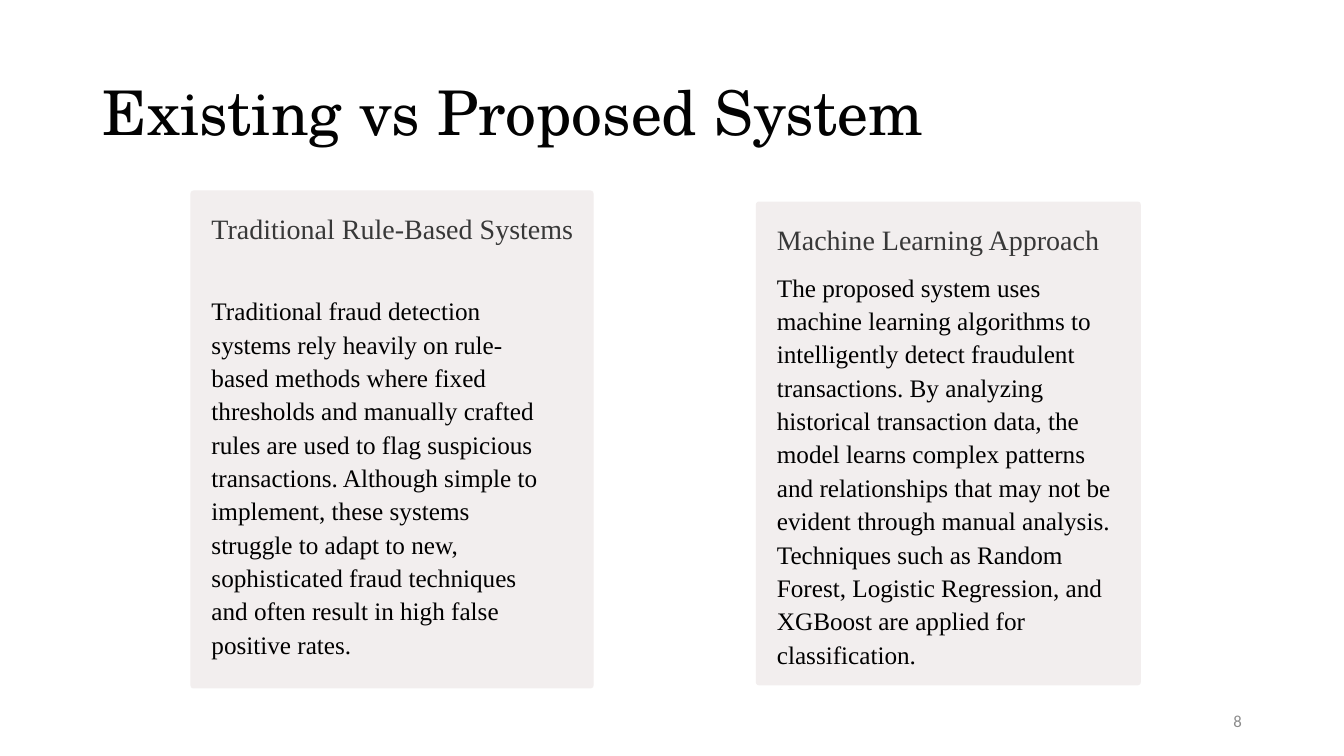
import pptx
import pptx.util
import pptx.dml.color
import pptx.enum.shapes
import pptx.enum.text

Cm, Pt = pptx.util.Cm, pptx.util.Pt
ALIGN = pptx.enum.text.PP_ALIGN
MIDDLE = pptx.enum.text.MSO_ANCHOR.MIDDLE

# Content
TITLE = "Existing vs Proposed System"
PAGE = "8"
SYSTEMS = [
    {
        "heading": "Traditional Rule-Based Systems",
        "description": "Traditional fraud detection systems rely heavily on rule-based "
        "methods where fixed thresholds and manually crafted rules are used to flag "
        "suspicious transactions. Although simple to implement, these systems struggle "
        "to adapt to new, sophisticated fraud techniques and often result in high "
        "false positive rates.",
        "card": (4.8, 4.8, 10.16, 12.55),
        "description_drop": 2.04,
    },
    {
        "heading": "Machine Learning Approach",
        "description": "The proposed system uses machine learning algorithms to "
        "intelligently detect fraudulent transactions. By analyzing historical "
        "transaction data, the model learns complex patterns and relationships that may "
        "not be evident through manual analysis. Techniques such as Random Forest, "
        "Logistic Regression, and XGBoost are applied for classification.",
        "card": (19.05, 5.08, 9.7, 12.19),
        "description_drop": 1.17,
    },
]
COLORS = {"title": "020202", "card": "F2EEEE", "heading": "383838",
          "description": "000000", "page": "8C8C8C"}
SERIF = "Times New Roman"
PADDING = 0.53
DESCRIPTION_WIDTH = 8.66


def rgb(role):
    return pptx.dml.color.RGBColor.from_string(COLORS[role])


def write(frame, text, role, font, size, leading=None, align=ALIGN.LEFT):
    frame.word_wrap = True
    paragraph = frame.paragraphs[0]
    paragraph.text = text
    paragraph.alignment = align
    if leading:
        paragraph.line_spacing = Pt(leading)
    paragraph.font.name = font
    paragraph.font.size = Pt(size)
    paragraph.font.color.rgb = rgb(role)


def add_text(slide, box, *style):
    frame = slide.shapes.add_textbox(*map(Cm, box)).text_frame
    frame.margin_left = frame.margin_right = frame.margin_top = frame.margin_bottom = 0
    write(frame, *style)


def add_system(slide, system):
    left, top, width, height = system["card"]
    card = slide.shapes.add_shape(
        pptx.enum.shapes.MSO_SHAPE.ROUNDED_RECTANGLE, *map(Cm, system["card"]))
    card.adjustments[0] = 0.008
    card.shadow.inherit = False
    card.fill.solid()
    card.fill.fore_color.rgb = rgb("card")
    card.line.fill.background()

    text_left, heading_top = left + PADDING, top + PADDING
    drop = system["description_drop"]
    add_text(slide, (text_left, heading_top, width - PADDING, drop),
             system["heading"], "heading", SERIF, 20, 24.2)
    add_text(slide, (text_left, heading_top + drop, DESCRIPTION_WIDTH,
                     height - drop - 2 * PADDING),
             system["description"], "description", SERIF, 18, 23.8)


def main():
    deck = pptx.Presentation()
    deck.slide_width, deck.slide_height = Cm(33.87), Cm(19.05)
    slide = deck.slides.add_slide(deck.slide_layouts.get_by_name("Title Only"))

    # Title
    title = slide.shapes.title
    title.left, title.top, title.width, title.height = map(Cm, (2.34, 1.02, 29.21, 3.68))
    title.text_frame.vertical_anchor = MIDDLE
    write(title.text_frame, TITLE, "title", "TeX Gyre Schola", 44, 48.8)

    # System cards
    for system in SYSTEMS:
        add_system(slide, system)

    # Page number
    page = slide.shapes.add_textbox(*map(Cm, (23.93, 17.65, 7.62, 1.02))).text_frame
    page.vertical_anchor = MIDDLE
    write(page, PAGE, "page", "Calibri", 12, None, ALIGN.RIGHT)

    deck.save("out.pptx")


if __name__ == "__main__":
    main()
